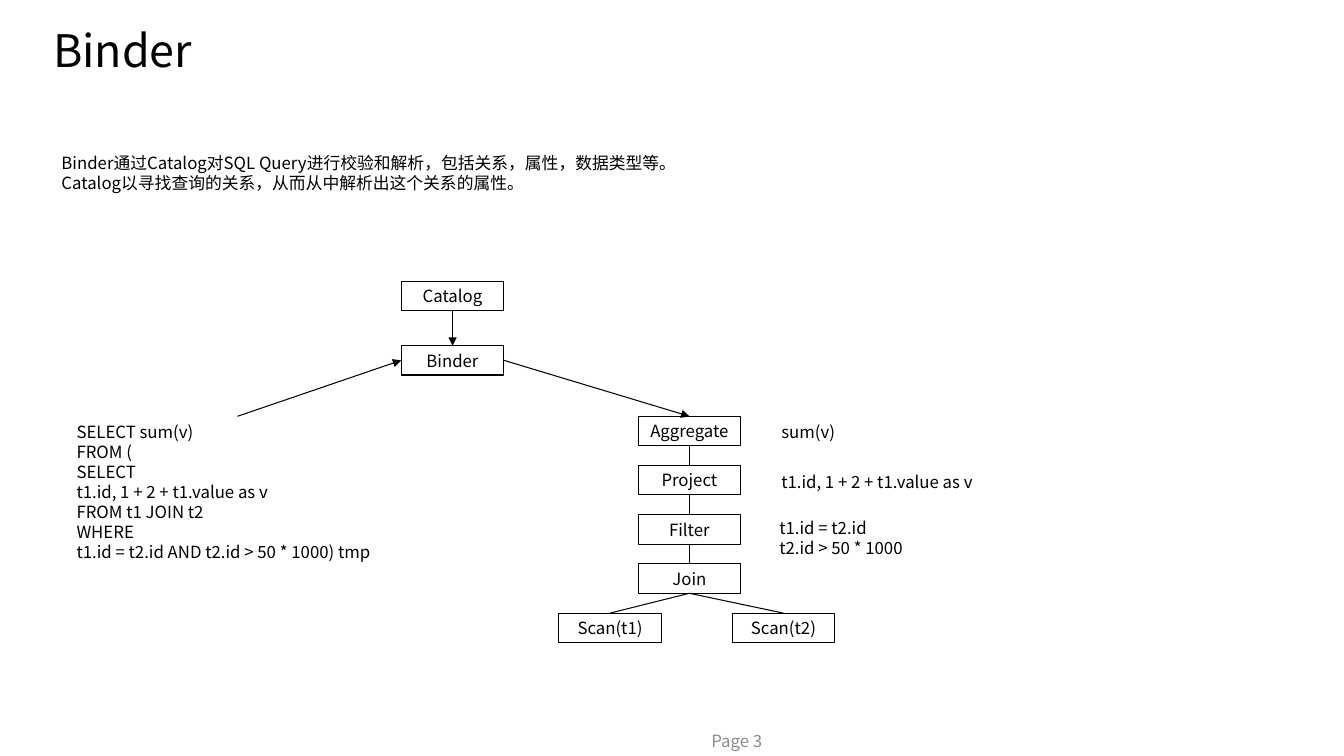
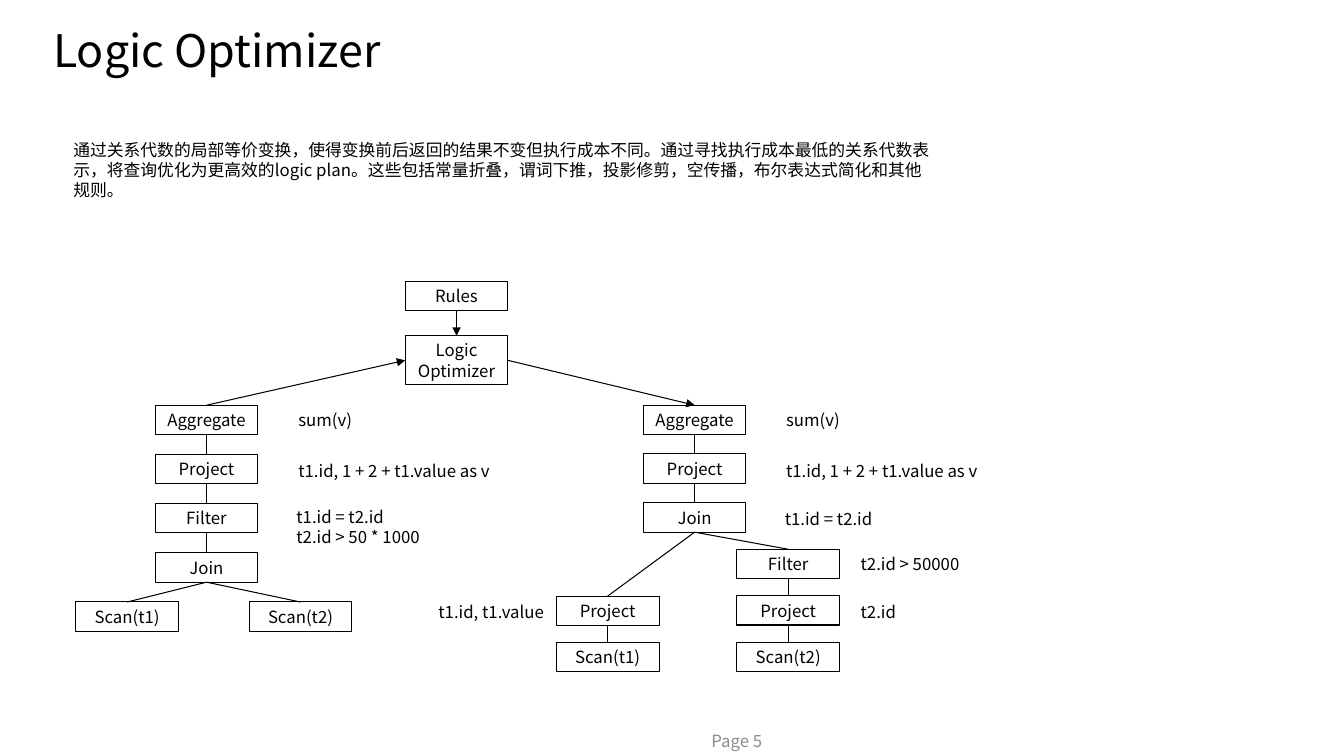
import lxml.etree
import pptx
import pptx.dml.color
import pptx.enum.shapes
import pptx.enum.text
import pptx.oxml.ns
import pptx.util

Cm = pptx.util.Cm
Pt = pptx.util.Pt
qn = pptx.oxml.ns.qn
ALIGN = pptx.enum.text.PP_ALIGN
ANCHOR = pptx.enum.text.MSO_ANCHOR

BLACK = pptx.dml.color.RGBColor(0x00, 0x00, 0x00)
GRAY = pptx.dml.color.RGBColor(0x8C, 0x8C, 0x8C)
FONT_NAME = "Noto Sans CJK SC"
LINE_WIDTH = Pt(0.75)
BOX_WIDTH, BOX_HEIGHT = 2.59, 0.74

# Connection sites of a rectangle
TOP, LEFT, BOTTOM, RIGHT = range(4)

# Text styles: paragraph and font format values
BODY = {
    "paragraph": {"alignment": ALIGN.LEFT, "line_spacing": Pt(14.4)},
    "font": {"name": FONT_NAME, "size": Pt(12)},
}
CENTERED = {
    "paragraph": {"alignment": ALIGN.CENTER, "line_spacing": Pt(14.4)},
    "font": BODY["font"],
}
TITLE = {
    "paragraph": {"alignment": ALIGN.LEFT, "line_spacing": 0.9},
    "font": {"name": FONT_NAME, "size": Pt(32)},
}
BOX_FRAME = {
    "word_wrap": True,
    "vertical_anchor": ANCHOR.MIDDLE,
    "margin_left": Cm(0.23),
    "margin_right": Cm(0.23),
    "margin_top": Cm(0.1),
    "margin_bottom": Cm(0.1),
}


def apply_format(target, values):
    for name, value in values.items():
        setattr(target, name, value)


class Deck:
    """Holds the shared style and the slide being built."""

    def __init__(self):
        self.presentation = pptx.Presentation()
        self.presentation.slide_width = Cm(33.87)
        self.presentation.slide_height = Cm(19.05)
        self.slide = None

    def add_slide(self, title, page):
        layout = self.presentation.slide_layouts[6]
        self.slide = self.presentation.slides.add_slide(layout)
        self.text([title], 1.09, 0.13, 21.51, 2.41, TITLE,
                  wrap=True, anchor=ANCHOR.MIDDLE)
        self.text([f"Page {page}"], 17.68, 18.03, 5.82, 1.27,
                  color=GRAY, wrap=True, anchor=ANCHOR.MIDDLE)

    def fill_text(self, frame, lines, style, color):
        for index, line in enumerate(lines):
            paragraph = frame.add_paragraph() if index else frame.paragraphs[0]
            apply_format(paragraph, style["paragraph"])
            run = paragraph.add_run()
            run.text = line
            apply_format(run.font, style["font"])
            run.font.color.rgb = color
            properties = run._r.get_or_add_rPr()
            lxml.etree.SubElement(properties, qn("a:ea"), typeface=FONT_NAME)

    def text(self, lines, left, top, width, height=0.76, style=BODY,
             color=BLACK, wrap=False, anchor=ANCHOR.TOP):
        shape = self.slide.shapes.add_textbox(
            Cm(left), Cm(top), Cm(width), Cm(height))
        apply_format(shape.text_frame,
                     {"word_wrap": wrap, "vertical_anchor": anchor})
        self.fill_text(shape.text_frame, lines, style, color)
        return shape

    def box(self, label, left, top, height=BOX_HEIGHT):
        shape = self.slide.shapes.add_shape(
            pptx.enum.shapes.MSO_SHAPE.FLOWCHART_PROCESS,
            Cm(left), Cm(top), Cm(BOX_WIDTH), Cm(height))
        shape.shadow.inherit = False
        shape.fill.background()
        shape.line.color.rgb = BLACK
        shape.line.width = LINE_WIDTH
        apply_format(shape.text_frame, BOX_FRAME)
        self.fill_text(shape.text_frame, [label], CENTERED, BLACK)
        return shape

    def link(self, start, end, start_site=BOTTOM, end_site=TOP, arrow=False):
        connector = self.slide.shapes.add_connector(
            pptx.enum.shapes.MSO_CONNECTOR.STRAIGHT, 0, 0, 0, 0)
        connector.begin_connect(start, start_site)
        connector.end_connect(end, end_site)
        connector.line.color.rgb = BLACK
        connector.line.width = LINE_WIDTH
        properties = connector._element.spPr
        if arrow:
            lxml.etree.SubElement(
                properties.find(qn("a:ln")), qn("a:tailEnd"), type="triangle")
        lxml.etree.SubElement(properties, qn("a:effectLst"))

    def chain(self, labels, left, top, step):
        """Stack boxes at equal steps and link each to the next."""
        boxes = [self.box(label, left, top + index * step)
                 for index, label in enumerate(labels)]
        for upper, lower in zip(boxes, boxes[1:]):
            self.link(upper, lower)
        return boxes

    def shared_notes(self, left, top):
        self.text(["sum(v)"], left, top, 1.88)
        self.text(["t1.id, 1 + 2 + t1.value as v"], left, top + 1.28, 5.77)

    def logical_plan(self, left, top):
        """Draw the unoptimized plan and return its root box."""
        step = 1.24
        boxes = self.chain(["Aggregate", "Project", "Filter", "Join"],
                           left, top, step)
        for label, offset in (("Scan(t1)", -2), ("Scan(t2)", 2.37)):
            scan = self.box(label, left + offset, top + 4 * step)
            self.link(boxes[-1], scan)
        self.shared_notes(left + 3.36, top)
        self.text(["t1.id = t2.id", "t2.id > 50 * 1000"],
                  left + 3.31, top + 2.44, 3.91, 1.27)
        return boxes[0]

    def stage(self, helper, name, left, top, height, source, result):
        """Draw a stage fed by its helper, between its source and result."""
        helper_box = self.box(helper, left, 7.09)
        stage_box = self.box(name, left, top, height)
        self.link(helper_box, stage_box, arrow=True)
        self.link(source, stage_box, TOP, LEFT, arrow=True)
        self.link(stage_box, result, RIGHT, TOP, arrow=True)


deck = Deck()

# Slide: Binder
deck.add_slide("Binder", 3)
deck.text(["Binder通过Catalog对SQL Query进行校验和解析，包括关系，属性，数据类型等。",
           "Catalog以寻找查询的关系，从而从中解析出这个关系的属性。"],
          1.3, 3.73, 16.31, 1.27)
query = deck.text(["SELECT sum(v)", "FROM (", "SELECT",
                   "t1.id, 1 + 2 + t1.value as v", "FROM t1 JOIN t2", "WHERE",
                   "t1.id = t2.id AND t2.id > 50 * 1000) tmp"],
                  1.68, 10.49, 8.61, 3.84)
plan = deck.logical_plan(16.08, 10.49)
deck.stage("Catalog", "Binder", 10.11, 8.71, BOX_HEIGHT, query, plan)

# Slide: Logic Optimizer
deck.add_slide("Logic Optimizer", 5)
deck.text(["通过关系代数的局部等价变换，使得变换前后返回的结果不变但执行成本不同。"
           "通过寻找执行成本最低的关系代数表示，将查询优化为更高效的logic plan。"
           "这些包括常量折叠，谓词下推，投影修剪，空传播，布尔表达式简化和其他规则。"],
          1.6, 3.4, 22.2, 1.8, wrap=True)
plan = deck.logical_plan(3.91, 10.21)

# Optimized plan with one branch per table
optimized = deck.chain(["Aggregate", "Project", "Join"], 16.21, 10.21, 1.23)
first_branch = deck.chain(["Project", "Scan(t1)"], 14.02, 15.02, 1.16)
second_branch = deck.chain(["Filter", "Project", "Scan(t2)"],
                           18.57, 13.84, 1.17)
for branch in (first_branch, second_branch):
    deck.link(optimized[-1], branch[0])
deck.shared_notes(19.56, 10.21)
for note, left, top, width in (
        ("t1.id = t2.id", 19.53, 12.7, 2.87),
        ("t2.id > 50000", 21.44, 13.84, 3.23),
        ("t2.id", 21.44, 15.04, 1.45),
        ("t1.id, t1.value", 10.8, 15.04, 3.23)):
    deck.text([note], left, top, width)
deck.stage("Rules", "Logic Optimizer", 10.21, 8.46, 1.24, plan, optimized[0])

deck.presentation.save("out.pptx")
